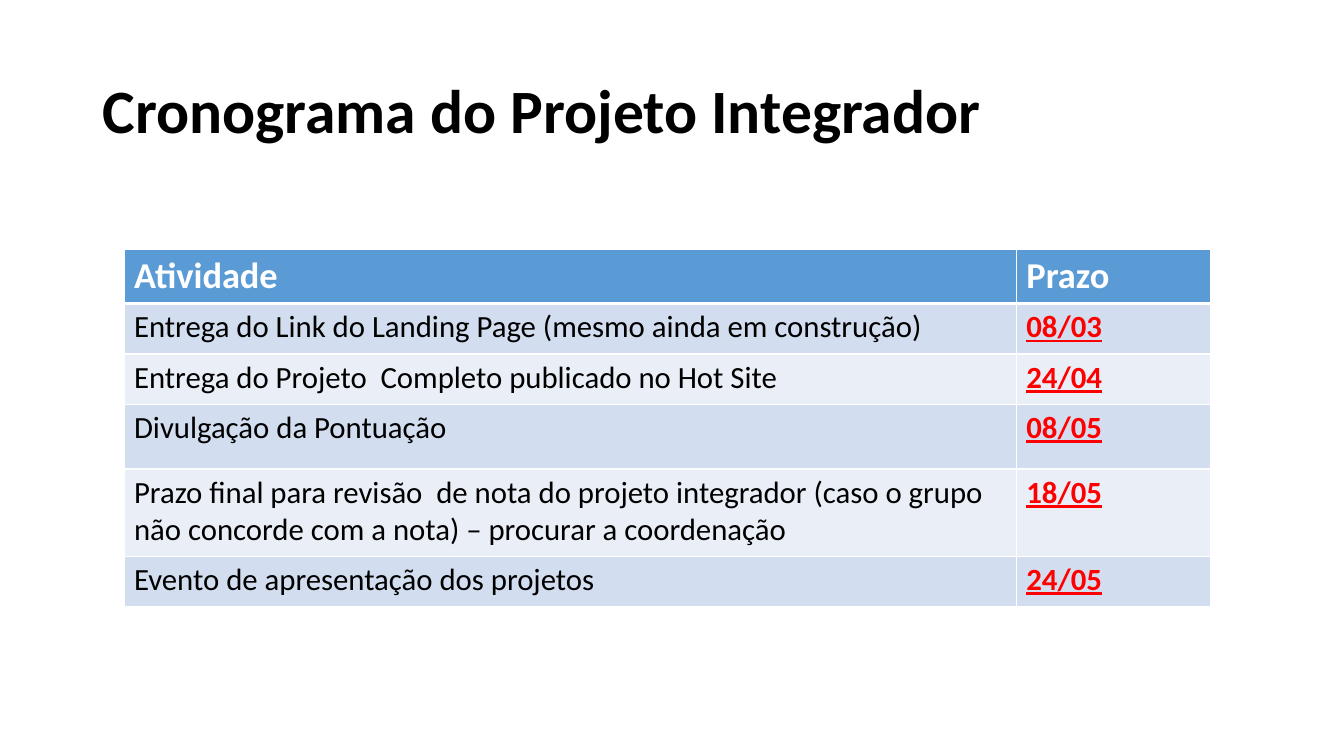
import pptx
import pptx.util
import pptx.dml.color
import pptx.enum.text
import pptx.oxml
import pptx.oxml.ns

# Content
TITLE = "Cronograma do Projeto Integrador"
ROWS = [
    ("Atividade", "Prazo"),
    ("Entrega do Link do Landing Page (mesmo ainda em construção)", "08/03"),
    ("Entrega do Projeto  Completo publicado no Hot Site", "24/04"),
    ("Divulgação da Pontuação", "08/05"),
    ("Prazo final para revisão  de nota do projeto integrador (caso o grupo "
     "não concorde com a nota) – procurar a coordenação", "18/05"),
    ("Evento de apresentação dos projetos", "24/05"),
]

# Layout in inches
SLIDE = (13.33, 7.5)
TITLE_BOX = (0.92, 0.4, 11.5, 1.45)
TABLE_LEFT, TABLE_TOP = 1.23, 2.47
COLUMNS = (8.85, 1.93)
HEIGHTS = (0.5, 0.5, 0.5, 0.64, 0.87, 0.5)

# Formats
HEADER_FILL, BANDS = "5B9BD5", ("D2DEEF", "EAEFF7")
TITLE_FONT = {"size": 44, "bold": True, "color": "000000"}
HEADER_FONT = {"size": 26, "bold": True, "color": "FFFFFF"}
BODY_FONTS = (
    {"size": 22, "bold": False, "color": "000000"},
    {"size": 22, "bold": True, "underline": True, "color": "FF0000"},
)

inch = pptx.util.Inches


def rgb(value):
    return pptx.dml.color.RGBColor.from_string(value)


def write(tf, text, style):
    p = tf.paragraphs[0]
    r = p.add_run()
    r.text = text
    r.font.name = "Calibri"
    for name, value in style.items():
        if name == "color":
            r.font.color.rgb = rgb(value)
        else:
            setattr(r.font, name, pptx.util.Pt(value) if name == "size" else value)
    return p


def add_borders(cell, widths):
    tc_pr = cell._tc.get_or_add_tcPr()
    for i, (side, width) in enumerate(widths.items()):
        tc_pr.insert(i, pptx.oxml.parse_xml(
            f'<a:ln{side} {pptx.oxml.ns.nsdecls("a")} w="{pptx.util.Pt(width)}">'
            '<a:solidFill><a:srgbClr val="FFFFFF"/></a:solidFill>'
            f'</a:ln{side}>'))


prs = pptx.Presentation()
prs.slide_width, prs.slide_height = map(inch, SLIDE)
s = prs.slides.add_slide(prs.slide_layouts[5])

# Title
title = s.shapes.title
title.left, title.top, title.width, title.height = map(inch, TITLE_BOX)
title.text_frame.vertical_anchor = pptx.enum.text.MSO_ANCHOR.MIDDLE
p = write(title.text_frame, TITLE, TITLE_FONT)
p.alignment = pptx.enum.text.PP_ALIGN.LEFT
p.line_spacing = 0.9

# Schedule table
table = s.shapes.add_table(
    len(ROWS), len(COLUMNS), inch(TABLE_LEFT), inch(TABLE_TOP),
    inch(sum(COLUMNS)), inch(sum(HEIGHTS))).table
for column, width in zip(table.columns, COLUMNS):
    column.width = inch(width)

for i, (texts, height) in enumerate(zip(ROWS, HEIGHTS)):
    table.rows[i].height = inch(height)
    for j, text in enumerate(texts):
        cell = table.cell(i, j)
        cell.fill.solid()
        cell.fill.fore_color.rgb = rgb(BANDS[(i - 1) % 2] if i else HEADER_FILL)
        add_borders(cell, {"L": 1, "R": 1, "T": 3 if i == 1 else 1,
                           "B": 1 if i else 3})
        write(cell.text_frame, text, BODY_FONTS[j] if i else HEADER_FONT)

prs.save("out.pptx")
